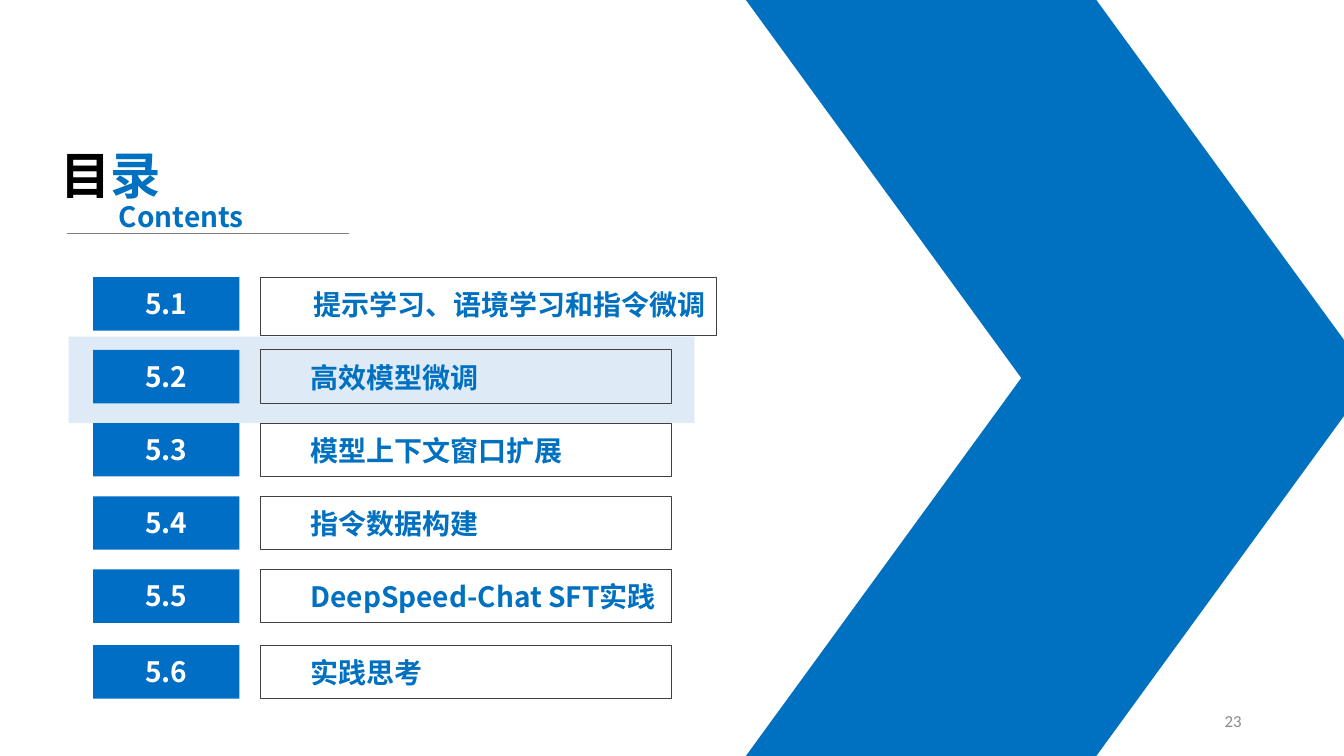
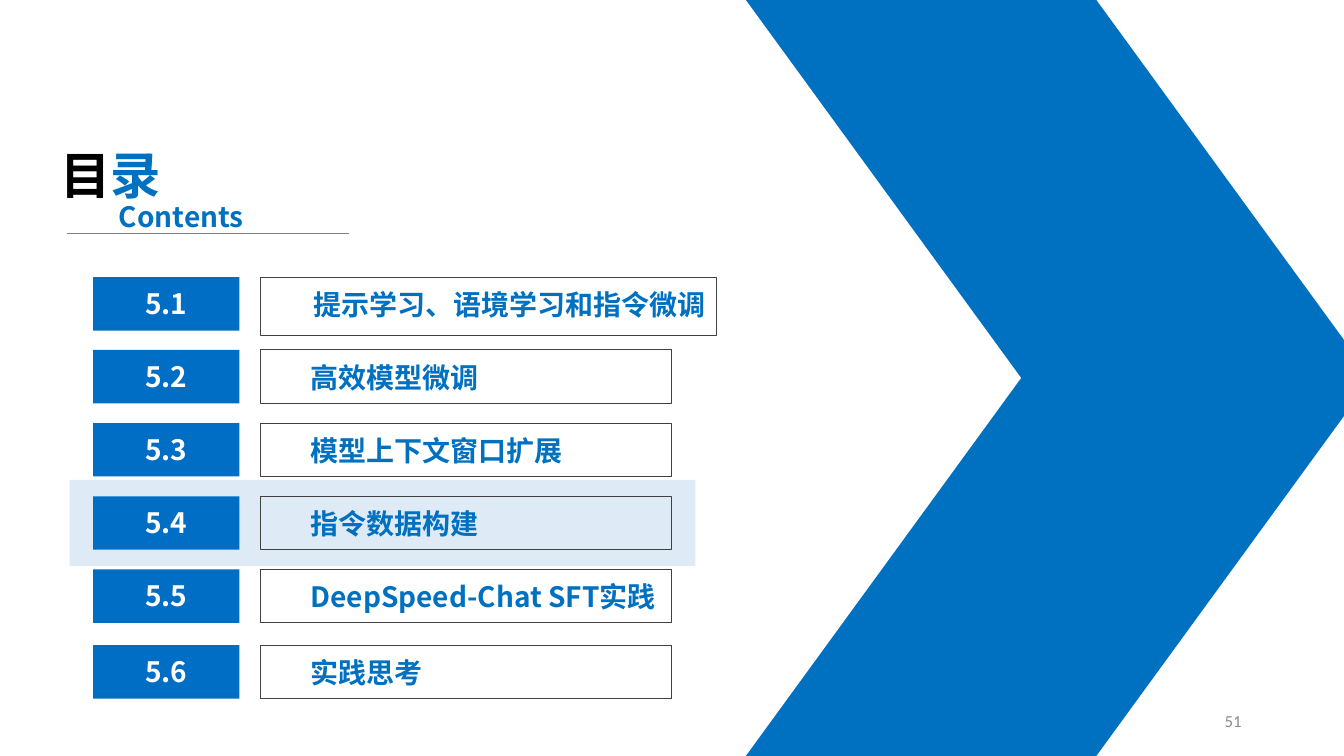
from dataclasses import dataclass

from lxml.etree import SubElement
from pptx import Presentation
from pptx.dml.color import RGBColor
from pptx.enum.shapes import MSO_CONNECTOR, MSO_SHAPE
from pptx.enum.text import MSO_ANCHOR, MSO_AUTO_SIZE, PP_ALIGN
from pptx.oxml.ns import qn
from pptx.util import Pt


@dataclass(frozen=True)
class Theme:
    blue: RGBColor = RGBColor(0x00, 0x70, 0xC0)
    number_blue: RGBColor = RGBColor(0x00, 0x6E, 0xC5)
    highlight: RGBColor = RGBColor(0xDE, 0xEB, 0xF7)
    black: RGBColor = RGBColor(0x00, 0x00, 0x00)
    white: RGBColor = RGBColor(0xFF, 0xFF, 0xFF)
    border: RGBColor = RGBColor(0x40, 0x40, 0x40)
    rule: RGBColor = RGBColor(0x7F, 0x7F, 0x7F)
    page_grey: RGBColor = RGBColor(0x89, 0x89, 0x89)
    heading_font: str = "Noto Sans CJK SC"
    page_font: str = "Calibri"
    title_size: int = 36
    item_size: int = 20
    page_size: int = 12


theme = Theme()

# Row top, row height, label width, label indent, label
CHAPTERS = [
    (198, 42, 326, 38, "提示学习、语境学习和指令微调"),
    (250, 38.2, 294, 36, "高效模型微调"),
    (302.2, 38.2, 294, 36, "模型上下文窗口扩展"),
    (354.5, 38.2, 294, 36, "指令数据构建"),
    (406.8, 38.2, 294, 36, "DeepSpeed-Chat SFT实践"),
    (460.8, 38.2, 294, 36, "实践思考"),
]
NUMBER_HEIGHT = 38.2

# Page number, left and top of the highlight band
PAGES = [("23", 49, 240.5), ("51", 49.7, 342.7)]


def add_block(page, kind, left, top, width, height, fill=None, line=None):
    block = page.shapes.add_shape(kind, Pt(left), Pt(top), Pt(width), Pt(height))
    block.shadow.inherit = False
    if fill is None:
        block.fill.background()
    else:
        block.fill.solid()
        block.fill.fore_color.rgb = fill
    if line is None:
        block.line.fill.background()
    else:
        block.line.color.rgb = line
        block.line.width = Pt(0.75)
    return block


def write_text(box, spans, size, align=PP_ALIGN.LEFT, font=theme.heading_font,
               bold=True, anchor=MSO_ANCHOR.TOP, insets=(7.2, 3.6, 7.2)):
    frame = box.text_frame
    frame.word_wrap = True
    frame.auto_size = MSO_AUTO_SIZE.NONE
    frame.vertical_anchor = anchor
    frame.margin_left, frame.margin_top, frame.margin_right = map(Pt, insets)
    frame.margin_bottom = 0
    para = frame.paragraphs[0]
    para.alignment = align
    para.font.name = font
    para.font.size = Pt(size)
    para.font.bold = bold
    # East Asian text needs its own typeface entry
    defaults = para._p.pPr.find(qn("a:defRPr"))
    SubElement(defaults, qn("a:ea")).set("typeface", font)
    for text, color in spans:
        span = para.add_run()
        span.text = text
        span.font.color.rgb = color


deck = Presentation()
deck.slide_width = Pt(960)
deck.slide_height = Pt(540)
title_only = deck.slide_layouts[5]

for page_number, band_left, band_top in PAGES:
    page = deck.slides.add_slide(title_only)

    # Highlight band and large arrow
    add_block(page, MSO_SHAPE.RECTANGLE, band_left, band_top, 447, 61.7, theme.highlight)
    arrow = add_block(page, MSO_SHAPE.CHEVRON, 532.8, 0, 447, 540, theme.blue)
    arrow.adjustments[0] = 0.44

    # Heading
    title = page.shapes.title
    title.left, title.top, title.width, title.height = Pt(36), Pt(99.4), Pt(113), Pt(51)
    write_text(title, [("目", theme.black), ("录", theme.blue)], theme.title_size)
    subtitle = page.shapes.add_textbox(Pt(77.8), Pt(139), Pt(113), Pt(31.5))
    write_text(subtitle, [("Contents", theme.blue)], theme.item_size)
    rule = page.shapes.add_connector(
        MSO_CONNECTOR.STRAIGHT, Pt(48), Pt(166.5), Pt(249), Pt(166.5))
    rule.line.color.rgb = theme.rule
    rule.line.width = Pt(0.5)
    SubElement(rule._element.spPr, qn("a:effectLst"))

    # Chapter list
    for index, (top, height, width, indent, label) in enumerate(CHAPTERS, start=1):
        label_box = add_block(page, MSO_SHAPE.RECTANGLE, 185.8, top, width, height,
                              line=theme.border)
        write_text(label_box, [(label, theme.blue)], theme.item_size,
                   insets=(indent, 7.2, 0))
        number_box = add_block(page, MSO_SHAPE.RECTANGLE, 66.5, top, 104.5,
                               NUMBER_HEIGHT, theme.number_blue)
        write_text(number_box, [(f"5.{index}", theme.white)], theme.item_size,
                   PP_ALIGN.CENTER, insets=(0, 6.5, 0))

    # Page number
    footer = page.shapes.add_textbox(Pt(678), Pt(500.5), Pt(216), Pt(28.8))
    write_text(footer, [(page_number, theme.page_grey)], theme.page_size,
               PP_ALIGN.RIGHT, theme.page_font, False, MSO_ANCHOR.MIDDLE,
               insets=(7.2, 0, 7.2))

deck.save("out.pptx")
